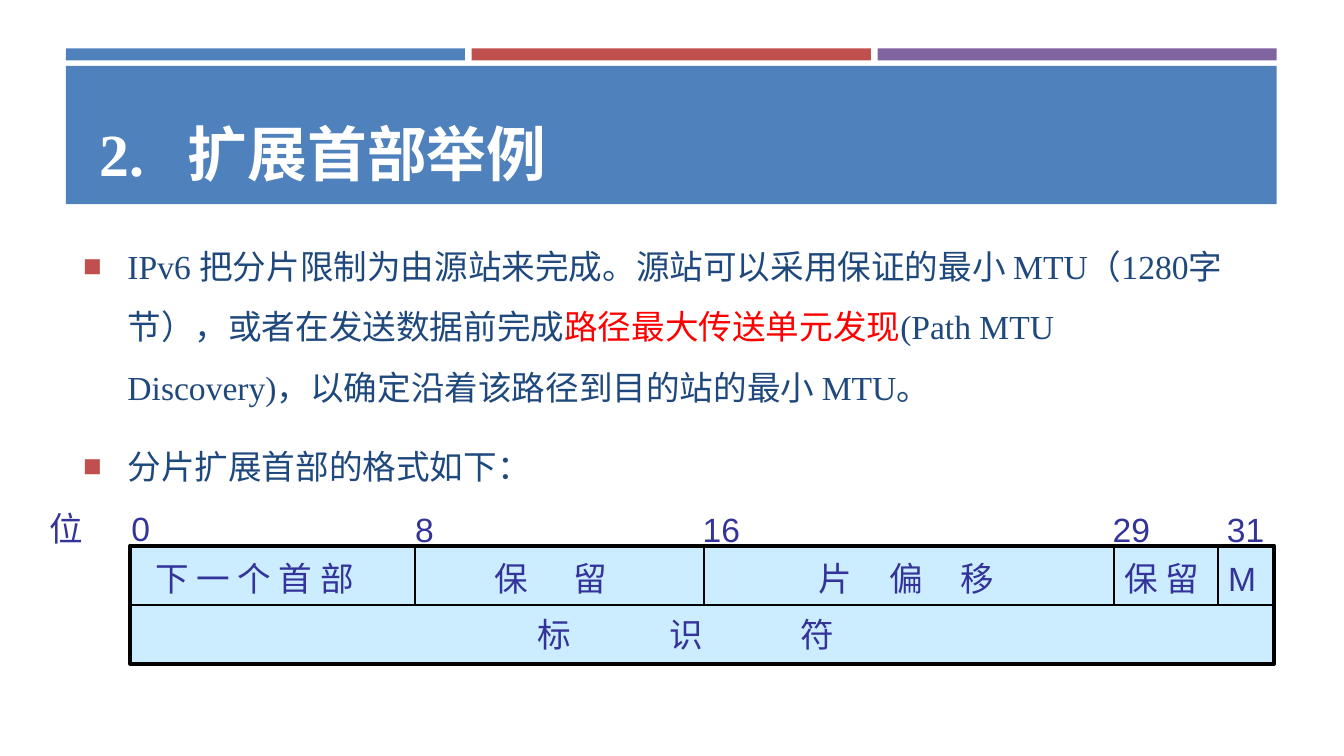
import dataclasses

import lxml.etree
import pptx
import pptx.dml.color
import pptx.enum.shapes
import pptx.enum.text
import pptx.oxml.ns
import pptx.util


@dataclasses.dataclass(frozen=True)
class Theme:
    blue: str = "4F81BD"
    red: str = "C0504D"
    purple: str = "8064A2"
    body: str = "1F497D"
    highlight: str = "FF0000"
    label: str = "333399"
    field: str = "CCECFF"
    line: str = "000000"
    white: str = "FFFFFF"
    serif: str = "Times New Roman"
    sans: str = "Arial"
    title_size: int = 32
    text_size: int = 18


THEME = Theme()
# The slide is a grid of 100 columns by 56.25 rows.
COLUMNS, ROWS = 100, 56.25
CELL = pptx.util.Inches(0.1)

HEADER_LEFT, HEADER_RIGHT = 9.7, 94.8
HEADER_TOP, HEADER_HEIGHT = 40.6, 8.8
HEADER_MIDDLE = HEADER_TOP + HEADER_HEIGHT / 2
LABEL_HEIGHT = 4


def grid(*cells):
    return [round(cell * CELL) for cell in cells]


def color(value):
    return pptx.dml.color.RGBColor.from_string(value)


def add_element(parent, tag, **attributes):
    element = lxml.etree.SubElement(parent, pptx.oxml.ns.qn(tag))
    for name, value in attributes.items():
        element.set(name, str(value))
    return element


def add_rectangle(slide, box, fill, line_width=None):
    shape = slide.shapes.add_shape(
        pptx.enum.shapes.MSO_SHAPE.RECTANGLE, *grid(*box))
    shape.shadow.inherit = False
    shape.fill.solid()
    shape.fill.fore_color.rgb = color(fill)
    if line_width:
        shape.line.color.rgb = color(THEME.line)
        shape.line.width = pptx.util.Pt(line_width)
    else:
        shape.line.fill.background()
    return shape


def add_line(slide, start, end):
    connector = slide.shapes.add_connector(
        pptx.enum.shapes.MSO_CONNECTOR.STRAIGHT, *grid(*start, *end))
    connector.line.color.rgb = color(THEME.line)
    connector.line.width = pptx.util.Pt(1)
    add_element(connector.element.spPr, "a:effectLst")
    return connector


def add_text_frame(slide, box, wrap=True):
    text_frame = slide.shapes.add_textbox(*grid(*box)).text_frame
    text_frame.word_wrap = wrap
    return text_frame


def add_run(paragraph, text, *, font=THEME.sans, size=THEME.text_size,
            fill=THEME.label, bold=False, tracking=0):
    """Add formatted text; tracking is the letter spacing in points."""
    run = paragraph.add_run()
    run.text = text
    run.font.name = font
    run.font.size = pptx.util.Pt(size)
    run.font.color.rgb = color(fill)
    run.font.bold = bold
    if tracking:
        run.font._element.set("spc", str(round(tracking * 100)))


def add_label(slide, left, top, width, text, **text_format):
    text_frame = add_text_frame(
        slide, (left, top, width, LABEL_HEIGHT), wrap=False)
    add_run(text_frame.paragraphs[0], text, **text_format)


def add_bullet(paragraph):
    indent = pptx.util.Inches(0.33)
    properties = paragraph._p.get_or_add_pPr()
    properties.set("marL", str(indent))
    properties.set("indent", str(-indent))
    bullet_color = add_element(properties, "a:buClr")
    add_element(bullet_color, "a:srgbClr", val=THEME.red)
    add_element(properties, "a:buSzPct", val=92000)
    add_element(properties, "a:buFont", typeface=THEME.sans)
    add_element(properties, "a:buChar", char="■")


def add_banner(slide):
    bar_width, bar_pitch = 29.7, 30.2
    for index, fill in enumerate((THEME.blue, THEME.red, THEME.purple)):
        add_rectangle(slide, (4.9 + index * bar_pitch, 3.6, bar_width, 0.9), fill)
    add_rectangle(slide, (4.9, 4.9, 90.1, 10.3), THEME.blue)


def add_title(slide):
    text_frame = add_text_frame(slide, (6.4, 5.6, 87.4, 8.9))
    text_frame.vertical_anchor = pptx.enum.text.MSO_ANCHOR.BOTTOM
    paragraph = text_frame.paragraphs[0]
    tabs = add_element(paragraph._p.get_or_add_pPr(), "a:tabLst")
    add_element(tabs, "a:tab", pos=pptx.util.Inches(0.66), algn="l")
    add_run(paragraph, "2.\t扩展首部举例", font=THEME.serif,
            size=THEME.title_size, fill=THEME.white, bold=True)


def add_body(slide):
    bullets = (
        (("IPv6 把分片限制为由源站来完成。源站可以采用保证的最小 MTU（1280字节），"
          "或者在发送数据前完成", THEME.body),
         ("路径最大传送单元发现", THEME.highlight),
         ("(Path MTU Discovery)，以确定沿着该路径到目的站的最小 MTU。", THEME.body)),
        (("分片扩展首部的格式如下：", THEME.body),),
    )
    text_frame = add_text_frame(slide, (5.2, 16.3, 87.8, 31.7))
    for index, runs in enumerate(bullets):
        paragraph = text_frame.add_paragraph() if index else text_frame.paragraphs[0]
        add_bullet(paragraph)
        paragraph.line_spacing = 1.5
        paragraph.space_before = pptx.util.Pt(4 if index else 0)
        paragraph.space_after = pptx.util.Pt(6)
        for text, fill in runs:
            add_run(paragraph, text, font=THEME.serif, fill=fill)


def add_fragment_header(slide):
    header = add_rectangle(
        slide, (HEADER_LEFT, HEADER_TOP, HEADER_RIGHT - HEADER_LEFT, HEADER_HEIGHT),
        THEME.field, line_width=2.25)
    divider = add_line(slide, (HEADER_LEFT, HEADER_MIDDLE),
                       (HEADER_RIGHT, HEADER_MIDDLE))
    divider.begin_connect(header, 1)
    divider.end_connect(header, 3)
    for column in (30.9, 52.4, 82.9, 90.6):
        add_line(slide, (column, HEADER_TOP), (column, HEADER_MIDDLE))

    for left, top, width, text in (
            (2.7, 37.3, 4.5, "位"), (8.8, 37.3, 3.4, "0"), (29.9, 37.4, 3.4, "8"),
            (51.3, 37.4, 4.8, "16"), (81.8, 37.4, 4.8, "29"), (90.3, 37.4, 4.8, "31")):
        add_label(slide, left, top, width, text)

    upper, lower = 41, 45.2
    for left, top, width, text, tracking in (
            (10.6, upper, 17.4, "下 一 个 首 部", 0),
            (35.8, upper, 11.3, "保 留", 10.2),
            (59.9, upper, 16.6, "片 偏 移", 8.1),
            (82.7, upper, 7.7, "保 留", 0),
            (90.4, upper, 4.1, "M", 0),
            (39, lower, 27.8, "标 识 符", 24.3)):
        add_label(slide, left, top, width, text, tracking=tracking)


def main():
    presentation = pptx.Presentation()
    presentation.slide_width, presentation.slide_height = grid(COLUMNS, ROWS)
    slide = presentation.slides.add_slide(presentation.slide_layouts[6])
    add_banner(slide)
    add_title(slide)
    add_body(slide)
    add_fragment_header(slide)
    presentation.save("out.pptx")


if __name__ == "__main__":
    main()
